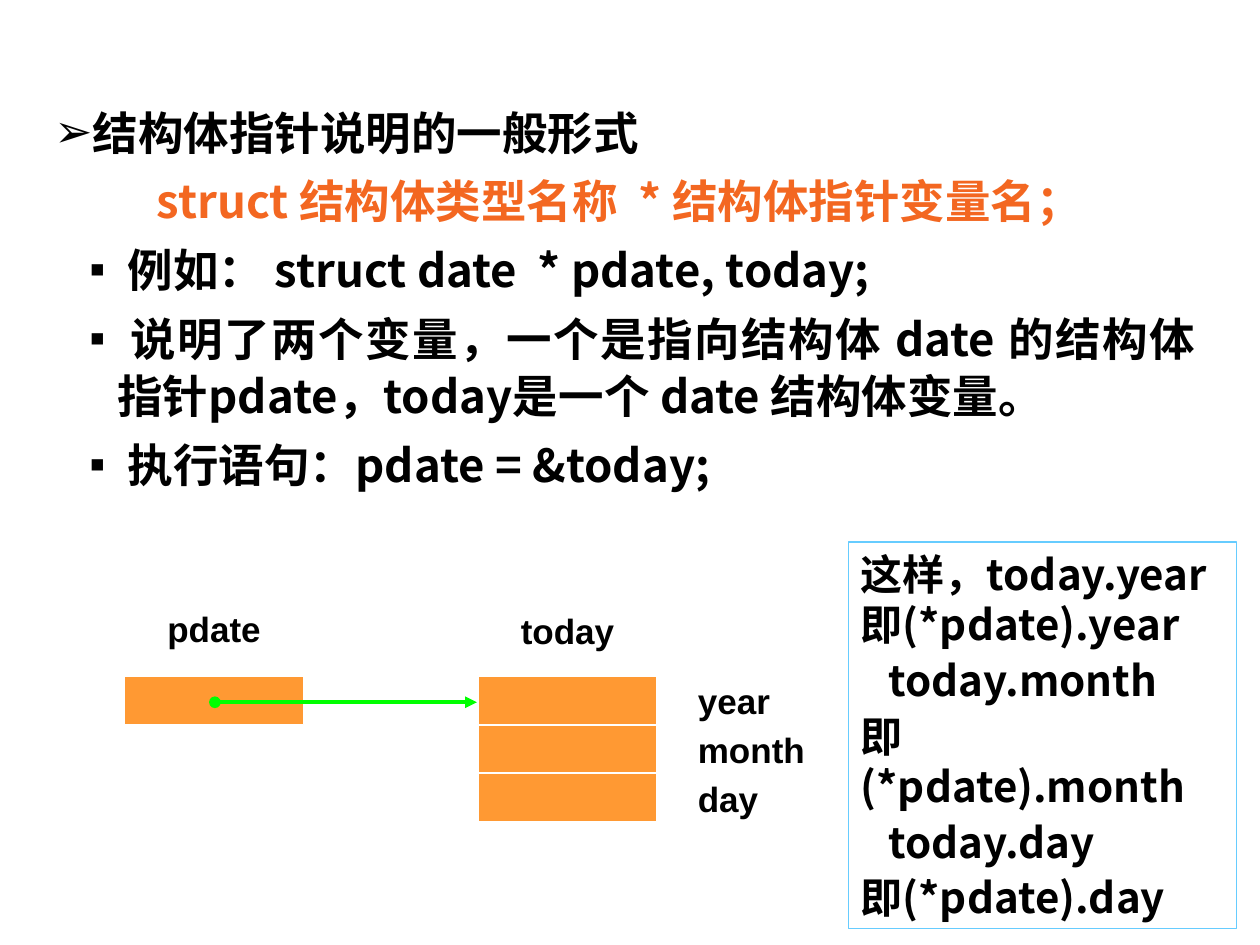
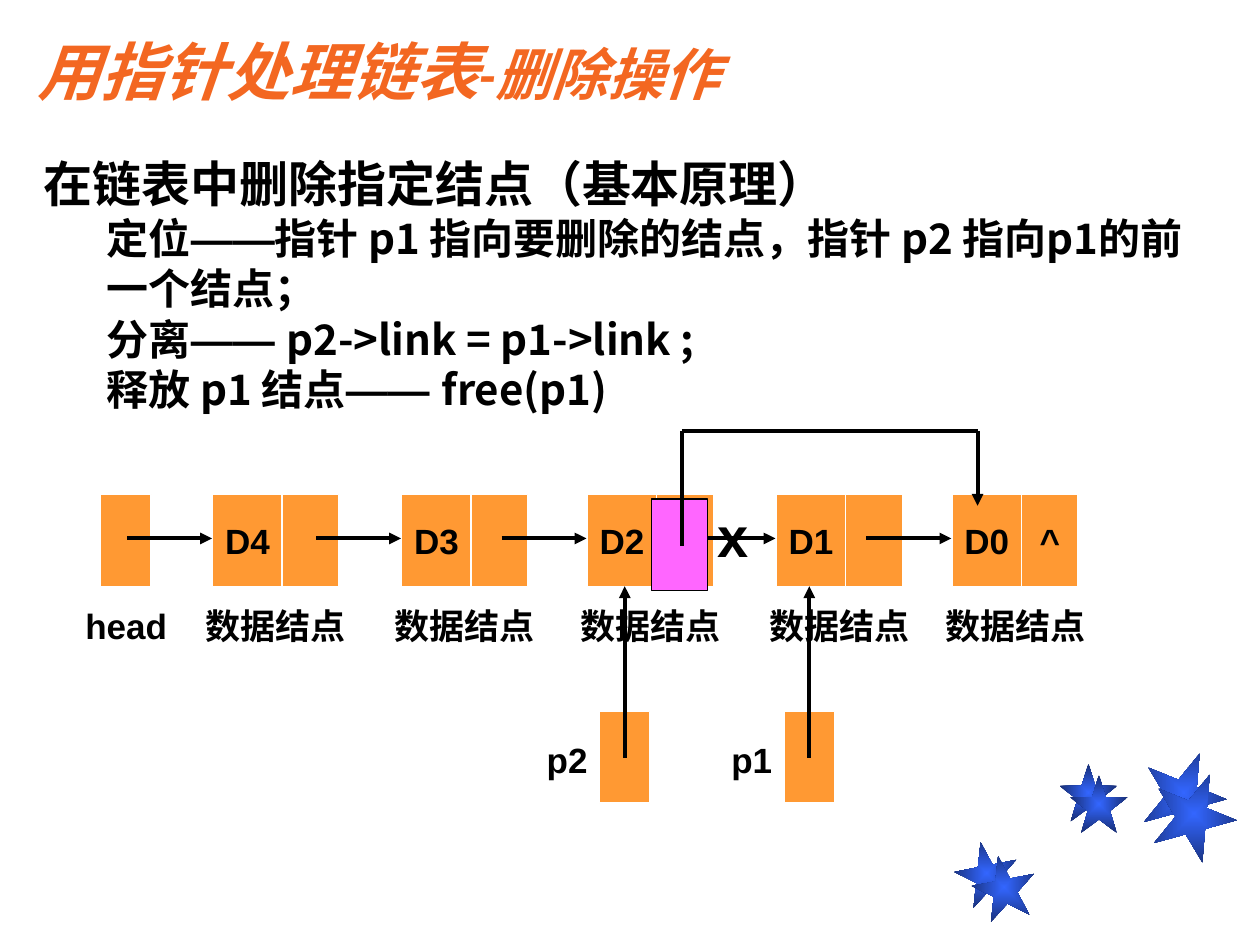
from lxml import etree
from pptx import Presentation
from pptx.dml.color import RGBColor
from pptx.enum import shapes, text
from pptx.oxml.ns import qn
from pptx.util import Pt

BLACK = RGBColor(0x00, 0x00, 0x00)
WHITE = RGBColor(0xFF, 0xFF, 0xFF)
TITLE_ORANGE = RGBColor(0xF3, 0x67, 0x21)
CELL_ORANGE = RGBColor(0xFF, 0x99, 0x33)
POINTER_GREEN = RGBColor(0x00, 0xFF, 0x00)
FRAME_BLUE = RGBColor(0x66, 0xCC, 0xFF)
LINK_PINK = RGBColor(0xFF, 0x66, 0xFF)
STAR_BLUE = RGBColor(0x33, 0x66, 0xFF)
STAR_NAVY = RGBColor(0x18, 0x2F, 0x76)

BODY_FONT = "Noto Sans CJK SC"
LABEL_FONT = "Arial"
LEFT, CENTER, JUSTIFY = text.PP_ALIGN.LEFT, text.PP_ALIGN.CENTER, text.PP_ALIGN.JUSTIFY


def set_font(font, name, size=None, color=None):
    """Set one typeface for both Latin and East Asian letters."""
    font.name = name
    if size:
        font.size = Pt(size)
        font.bold = True
    if color is not None:
        font.color.rgb = color
    etree.SubElement(font._rPr, qn("a:ea"), typeface=name)


def set_indent(paragraph, margin, first=0, bullet=None):
    properties = paragraph._p.get_or_add_pPr()
    properties.set("marL", str(Pt(margin)))
    properties.set("indent", str(Pt(first)))
    if bullet:
        color = etree.SubElement(properties, qn("a:buClr"))
        etree.SubElement(color, qn("a:srgbClr"), val=str(BLACK))
        etree.SubElement(properties, qn("a:buFont"), typeface=LABEL_FONT)
        etree.SubElement(properties, qn("a:buChar"), char=bullet)


def next_paragraph(frame, index):
    return frame.add_paragraph() if index else frame.paragraphs[0]


def add_text_box(slide, left, top, width, height):
    shape = slide.shapes.add_textbox(Pt(left), Pt(top), Pt(width), Pt(height))
    shape.text_frame.word_wrap = True
    return shape


def write_label(shape, words, size=20, align=CENTER):
    """Write one unbroken line that may use the full width of the shape."""
    frame = shape.text_frame
    frame.word_wrap = False
    frame.margin_left = frame.margin_right = 0
    frame.vertical_anchor = text.MSO_ANCHOR.MIDDLE
    paragraph = frame.paragraphs[0]
    paragraph.text = words
    paragraph.alignment = align
    set_font(paragraph.font, LABEL_FONT, size, BLACK)


def add_label(slide, left, top, width, height, words, size=20, align=CENTER):
    write_label(add_text_box(slide, left, top, width, height), words, size, align)


def add_cell(slide, left, top, width, height, words="", fill=CELL_ORANGE, line=WHITE, weight=0.75):
    cell = slide.shapes.add_shape(shapes.MSO_SHAPE.RECTANGLE, Pt(left), Pt(top), Pt(width), Pt(height))
    cell.shadow.inherit = False
    cell.fill.solid()
    cell.fill.fore_color.rgb = fill
    cell.line.color.rgb = line
    cell.line.width = Pt(weight)
    if words:
        write_label(cell, words)


def add_line(slide, start, end, color=BLACK, head=None, tail="triangle"):
    connector = slide.shapes.add_connector(
        shapes.MSO_CONNECTOR.STRAIGHT, *(Pt(value) for value in (*start, *end)))
    connector.line.color.rgb = color
    connector.line.width = Pt(2.25)
    outline = connector.line._get_or_add_ln()
    for tag, kind in (("a:headEnd", head), ("a:tailEnd", tail)):
        if kind:
            etree.SubElement(outline, qn(tag), type=kind)
    etree.SubElement(connector._element.spPr, qn("a:effectLst"))


def add_declaration(slide, left, top, width, height):
    """Bulleted explanation of how a structure pointer is declared."""
    frame = add_text_box(slide, left, top, width, height).text_frame
    heading, syntax, point = (20, -20, "➢"), (0, 0, None), (36, -16, "▪")
    lines = [
        ("结构体指针说明的一般形式", heading, JUSTIFY, BLACK),
        ("struct 结构体类型名称  * 结构体指针变量名； ", syntax, CENTER, TITLE_ORANGE),
        (" 例如： struct date  * pdate, today;", point, JUSTIFY, BLACK),
        (" 说明了两个变量，一个是指向结构体 date 的结构体指针pdate，today是一个 date 结构体变量。",
         point, JUSTIFY, BLACK),
        (" 执行语句：pdate = &today;", point, JUSTIFY, BLACK),
    ]
    for index, (words, indent, align, color) in enumerate(lines):
        paragraph = next_paragraph(frame, index)
        paragraph.text = words
        paragraph.alignment = align
        paragraph.line_spacing = 1.05
        paragraph.space_before = Pt(4.9 if index else 0)
        paragraph.space_after = Pt(1.6)
        set_indent(paragraph, *indent)
        set_font(paragraph.font, BODY_FONT, 26, color)


def add_memory_diagram(slide, left, top):
    """pdate pointing at the three members of today."""
    cell_width, cell_height, row = 102.5, 27.5, 27.8
    cells_top, today_left = top + 43.5, left + 202
    add_label(slide, left + 17.3, top, 68, 32, "pdate")
    add_label(slide, today_left + 17.3, top + 1, 68, 32, "today")
    add_cell(slide, left, cells_top, cell_width, cell_height, weight=1)
    for index, member in enumerate(("year", "month", "day")):
        y = cells_top + index * row
        add_cell(slide, today_left, y, cell_width, cell_height, weight=1)
        add_label(slide, left + 327.8, y - 2, 75, 32, member, align=LEFT)
    arrow_y = cells_top + 14.8
    add_line(slide, (left + 51.8, arrow_y), (today_left - 0.5, arrow_y), POINTER_GREEN, head="oval")


def add_equivalents(slide, left, top, width, height):
    """Framed list of equal member expressions."""
    box = add_text_box(slide, left, top, width, height)
    box.line.color.rgb = FRAME_BLUE
    box.line.width = Pt(0.75)
    lines = [("这样，today.year即(*pdate).year", 0), ("today.month", 16), ("即(*pdate).month", 0),
             ("today.day", 16), ("即(*pdate).day", 0)]
    for index, (words, margin) in enumerate(lines):
        paragraph = next_paragraph(box.text_frame, index)
        paragraph.text = words
        paragraph.space_before = Pt(3 if index else 0)
        set_indent(paragraph, margin)
        set_font(paragraph.font, BODY_FONT, 24, BLACK)


def add_star_pair(slide, left, top, size, rotation, shift):
    for dx, dy in ((0, 0), shift):
        star = slide.shapes.add_shape(
            shapes.MSO_SHAPE.STAR_5_POINT, Pt(left + dx), Pt(top + dy), Pt(size), Pt(size))
        star.rotation = rotation
        star.shadow.inherit = False
        star.line.fill.background()
        star.fill.gradient()
        for stop, color in zip(star.fill.gradient_stops, (STAR_BLUE, STAR_NAVY)):
            stop.color.rgb = color
        gradient = star._element.spPr.find(qn("a:gradFill"))
        gradient.remove(gradient.find(qn("a:lin")))
        shade = etree.SubElement(gradient, qn("a:path"), path="rect")
        etree.SubElement(shade, qn("a:fillToRect"), l="50000", t="50000", r="50000", b="50000")


def add_title(slide, left, top, width, height):
    title = add_text_box(slide, left, top, width, height)
    title.fill.solid()
    title.fill.fore_color.rgb = WHITE
    paragraph = title.text_frame.paragraphs[0]
    paragraph.font.italic = True
    for words, name, size in (("用指针处理链表", "Karla", 36), ("-删除操作", "Calibri", 32)):
        run = paragraph.add_run()
        run.text = words
        set_font(run.font, name, size, TITLE_ORANGE)


def add_deletion_steps(slide, left, top, width, height):
    frame = add_text_box(slide, left, top, width, height).text_frame
    dash = ("——", LABEL_FONT)
    wide_dash = ("—— ", LABEL_FONT)
    lines = [
        [("在链表中删除指定结点（基本原理）", None)],
        [("定位", None), dash, ("指针 p1 指向要删除的结点，指针 p2 指向p1的前一个结点；", None)],
        [("分离", None), wide_dash, ("p2->link = p1->link ;", None)],
        [("释放 p1 结点", None), wide_dash, ("free(p1)", None)],
    ]
    for index, pieces in enumerate(lines):
        paragraph = next_paragraph(frame, index)
        set_indent(paragraph, 36 if index else 0)
        set_font(paragraph.font, BODY_FONT, 24 if index else 28, BLACK)
        for words, name in pieces:
            run = paragraph.add_run()
            run.text = words
            if name:
                set_font(run.font, name)


def add_linked_list(slide, left, top):
    """Chain of nodes in which the link of D2 skips D1."""
    cell_height, data_width, link_width, head_width = 52.5, 39.6, 32.4, 28.8
    label_top, label_height, arrow_y = top + 57.6, 34.5, top + 25.2
    caption_width, pointer_label_width = 92, 32
    nodes = {"D4": 64, "D3": 172, "D2": 278, "D1": 386, "D0": 486.5}

    add_label(slide, left - 15.5, label_top, 60, label_height, "head")
    add_cell(slide, left, top, head_width, cell_height)
    for name, offset in nodes.items():
        x = left + offset
        add_cell(slide, x, top, data_width, cell_height, name)
        add_cell(slide, x + data_width, top, link_width, cell_height, "^" if name == "D0" else "")
        caption_left = x + (data_width + link_width - caption_width) / 2
        add_label(slide, caption_left, label_top, caption_width, label_height, "数据结点")
    for offset in nodes.values():
        add_line(slide, (left + offset - 49, arrow_y), (left + offset - 0.5, arrow_y))

    pointer_top = top + 124
    for name, offset in (("p2", 285), ("p1", 390.5)):
        x = left + offset
        add_cell(slide, x, pointer_top, head_width, cell_height)
        add_label(slide, x - 34.5, pointer_top + 10, pointer_label_width, label_height, name)
        middle = x + head_width / 2
        add_line(slide, (middle, pointer_top + 26.5), (middle, top + cell_height))

    add_cell(slide, left + 314.5, top + 2.6, link_width, cell_height, fill=LINK_PINK, line=BLACK)
    link_x, target_x, bypass_y = left + 332, left + 501, top - 36.3
    add_line(slide, (link_x, top + 29.5), (link_x, bypass_y), tail=None)
    add_line(slide, (link_x, bypass_y), (target_x, bypass_y), tail=None)
    add_line(slide, (target_x, bypass_y), (target_x, top + 6.5))
    add_label(slide, left + 346.5, top + 0.5, 30, 46, "x", 32)


def build_pointer_slide(slide):
    add_declaration(slide, 24, 54.7, 666, 255)
    add_memory_diagram(slide, 71, 343)
    add_equivalents(slide, 484.8, 309.8, 222, 221)


def build_deletion_slide(slide):
    add_star_pair(slide, 545.8, 481, 36, -11, (10, 8))
    add_star_pair(slide, 605.5, 436.5, 33, 0, (6, 6.5))
    add_star_pair(slide, 652.5, 429, 48, 22, (5.8, 12))
    add_deletion_steps(slide, 18, 84.2, 681, 181)
    add_linked_list(slide, 57.6, 282.5)
    add_title(slide, 14.4, 15, 582, 50.4)


def main():
    presentation = Presentation()
    presentation.slide_width, presentation.slide_height = Pt(720), Pt(540)
    blank = presentation.slide_layouts[6]
    for build in (build_pointer_slide, build_deletion_slide):
        build(presentation.slides.add_slide(blank))
    presentation.save("out.pptx")


if __name__ == "__main__":
    main()
